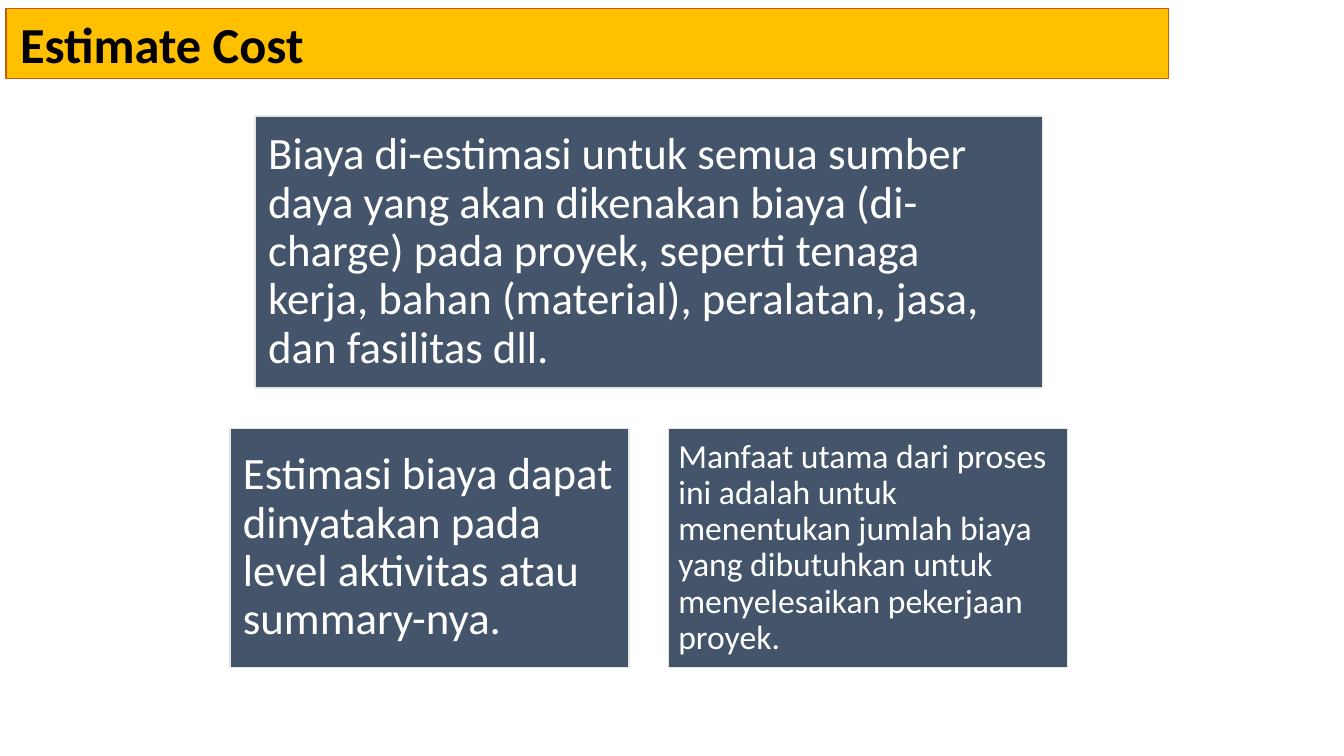
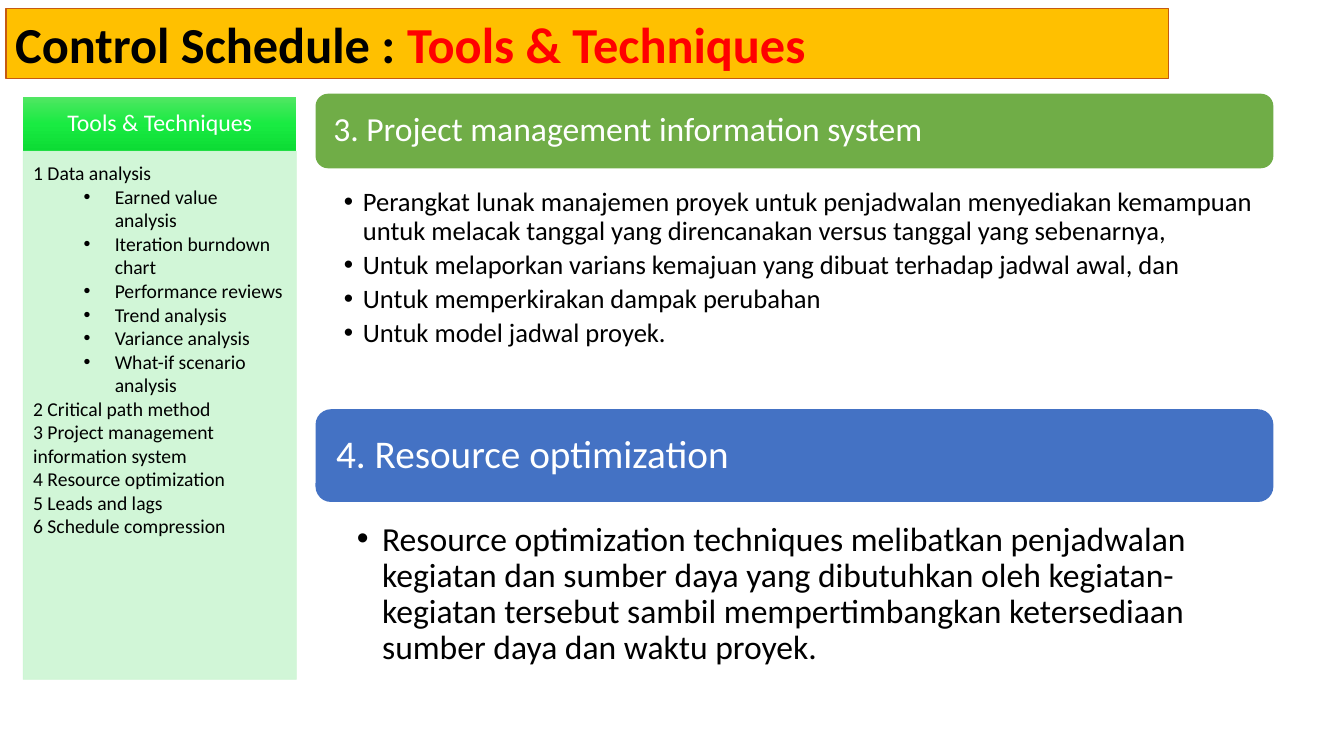
from copy import deepcopy
from lxml import etree
from pptx import Presentation
from pptx.dml.color import RGBColor
from pptx.enum.shapes import MSO_SHAPE
from pptx.enum.text import MSO_ANCHOR, PP_ALIGN
from pptx.oxml.ns import qn
from pptx.util import Inches, Pt

RECT, ROUND = MSO_SHAPE.RECTANGLE, MSO_SHAPE.ROUNDED_RECTANGLE
TOP, MID = MSO_ANCHOR.TOP, MSO_ANCHOR.MIDDLE
LEFT, CENTER = PP_ALIGN.LEFT, PP_ALIGN.CENTER
FONT = "Calibri"
HEX = {
    "gold": "FFC000", "rust": "C55A11", "slate": "44546A", "pale": "E7E6E6",
    "black": "000000", "white": "FFFFFF", "red": "FF0000",
    "blue": "4472C4", "green": "70AD47", "mint": "CCF6D3",
}
COLOR = {name: RGBColor.from_string(code) for name, code in HEX.items()}


def box(slide, kind, at, fill, line=None, width=1):
    shape = slide.shapes.add_shape(kind, *map(Inches, at))
    shape.shadow.inherit = False
    shape.fill.solid()
    shape.fill.fore_color.rgb = COLOR[fill]
    if line:
        shape.line.color.rgb = COLOR[line]
        shape.line.width = Pt(width)
    else:
        shape.line.fill.background()
    return shape


def write(shape, paras, size, color="black", ins=(0.1, 0.1, 0.1, 0.1), anchor=TOP,
          align=LEFT, bold=False, space=None, after=0, indent=(0, 0)):
    """Each paragraph is a string, or a list of (text, colour) runs; a leading "• " makes a bullet."""
    frame = shape.text_frame
    frame.word_wrap = True
    frame.vertical_anchor = anchor
    (frame.margin_left, frame.margin_top,
     frame.margin_right, frame.margin_bottom) = map(Inches, ins)
    for i, item in enumerate(paras):
        para = frame.add_paragraph() if i else frame.paragraphs[0]
        runs = [(item, color)] if isinstance(item, str) else item
        if runs[0][0].startswith("• "):
            runs = [(runs[0][0][2:], color)]
            para.level = 1
            props = para._p.get_or_add_pPr()
            props.set("marL", str(Inches(indent[0])))
            props.set("indent", str(Inches(-indent[1])))
            etree.SubElement(props, qn("a:buFont")).set("typeface", "Arial")
            etree.SubElement(props, qn("a:buChar")).set("char", "•")
        para.alignment = align
        para.space_after = Pt(after)
        if space:
            para.line_spacing = space
        for text, tone in runs:
            run = para.add_run()
            run.text = text
            run.font.name, run.font.size, run.font.bold = FONT, Pt(size), bold
            run.font.color.rgb = COLOR[tone]


deck = Presentation()
deck.slide_width, deck.slide_height = Inches(13.33), Inches(7.5)

# Slides with their title bands
titles = [
    ([("Estimate Cost", "black")], 0.14),
    ([("Control Schedule : ", "black"), ("Tools & Techniques", "red")], 0.09),
]
slides = []
for title, inset in titles:
    slide = deck.slides.add_slide(deck.slide_layouts[6])
    band = box(slide, RECT, (0.06, 0.08, 11.53, 0.7), "gold", "rust", 0.75)
    write(band, [title], 36, bold=True, ins=(inset, 0.05, 0.09, 0.05))
    slides.append(slide)
cost, control = slides

# Cost: three panels
panels = [
    ((2.53, 1.15, 7.81, 2.7), 32, 0.13,
     "Biaya di-estimasi untuk semua sumber daya yang akan dikenakan biaya (di-charge) "
     "pada proyek, seperti tenaga kerja, bahan (material), peralatan, jasa, dan fasilitas dll."),
    ((2.28, 4.25, 3.96, 2.37), 32, 0.13,
     "Estimasi biaya dapat dinyatakan pada level aktivitas atau summary-nya."),
    ((6.63, 4.25, 3.96, 2.37), 24, 0.1,
     "Manfaat utama dari proses ini adalah untuk menentukan jumlah biaya yang dibutuhkan "
     "untuk menyelesaikan pekerjaan proyek."),
]
for at, size, pad, text in panels:
    panel = box(cost, RECT, at, "slate", "pale")
    write(panel, [text], size, "white", ins=(pad,) * 4, anchor=MID, space=0.9)

# Control: sidebar header with a three-stop gradient
head = box(control, RECT, (0.23, 0.96, 2.71, 0.54), "green")
head.fill.gradient()
head.fill.gradient_angle = 270
first = head._element.spPr.find(".//" + qn("a:gs"))
first.addnext(deepcopy(first))
shades = [(0, "51E663"), (0.5, "19EB42"), (1, "0CDB34")]
for stop, (place, shade) in zip(head.fill.gradient_stops, shades):
    stop.position = place
    stop.color.rgb = RGBColor.from_string(shade)
write(head, ["Tools & Techniques"], 17, "white", ins=(0.13, 0.08, 0.13, 0.08),
      anchor=MID, align=CENTER, space=0.9)

# Control: sidebar list, slightly transparent
side = box(control, RECT, (0.23, 1.5, 2.71, 5.24), "mint", "mint", 0.5)
for tint in side._element.spPr.iter(qn("a:srgbClr")):
    etree.SubElement(tint, qn("a:alpha")).set("val", "90000")
write(side, [
    "1 Data analysis",
    "• Earned value analysis",
    "• Iteration burndown chart",
    "• Performance reviews",
    "• Trend analysis",
    "• Variance analysis",
    "• What-if scenario analysis",
    "2 Critical path method",
    "3 Project management",
    "information system",
    "4 Resource optimization",
    "5 Leads and lags",
    "6 Schedule compression",
], 14, ins=(0.1, 0.1, 0.13, 0.15), indent=(0.81, 0.31))

# Control: two sections, each a rounded heading over bullets
sections = [
    {"head": "3. Project management information system", "fill": "green", "size": 24,
     "at": (3.13, 0.93, 9.5, 0.74), "pad": 0.14,
     "body": (3.11, 1.84, 9.5, 2.01), "ins": (0.3, 0.03, 0.19, 0.03),
     "small": 19, "hang": 0.19,
     "items": [
         "• Perangkat lunak manajemen proyek untuk penjadwalan menyediakan kemampuan "
         "untuk melacak tanggal yang direncanakan versus tanggal yang sebenarnya,",
         "• Untuk melaporkan varians kemajuan yang dibuat terhadap jadwal awal, dan",
         "• Untuk memperkirakan dampak perubahan",
         "• Untuk model jadwal proyek."]},
    {"head": "4. Resource optimization", "fill": "blue", "size": 28,
     "at": (3.13, 4.06, 9.5, 0.92), "pad": 0.16,
     "body": (3.24, 5.13, 9.5, 2.18), "ins": (0.3, 0.05, 0.27, 0.05),
     "small": 24, "hang": 0.25,
     "items": [
         "• Resource optimization techniques melibatkan penjadwalan kegiatan dan sumber daya "
         "yang dibutuhkan oleh kegiatan-kegiatan tersebut sambil mempertimbangkan "
         "ketersediaan sumber daya dan waktu proyek."]},
]
for part in sections:
    bar = box(control, ROUND, part["at"], part["fill"])
    write(bar, [part["head"]], part["size"], "white", ins=(part["pad"],) * 4,
          anchor=MID, space=0.9)
    body = control.shapes.add_textbox(*map(Inches, part["body"]))
    write(body, part["items"], part["small"], ins=part["ins"], space=0.9,
          after=0.2 * part["small"], indent=(part["hang"], part["hang"]))

deck.save("out.pptx")
